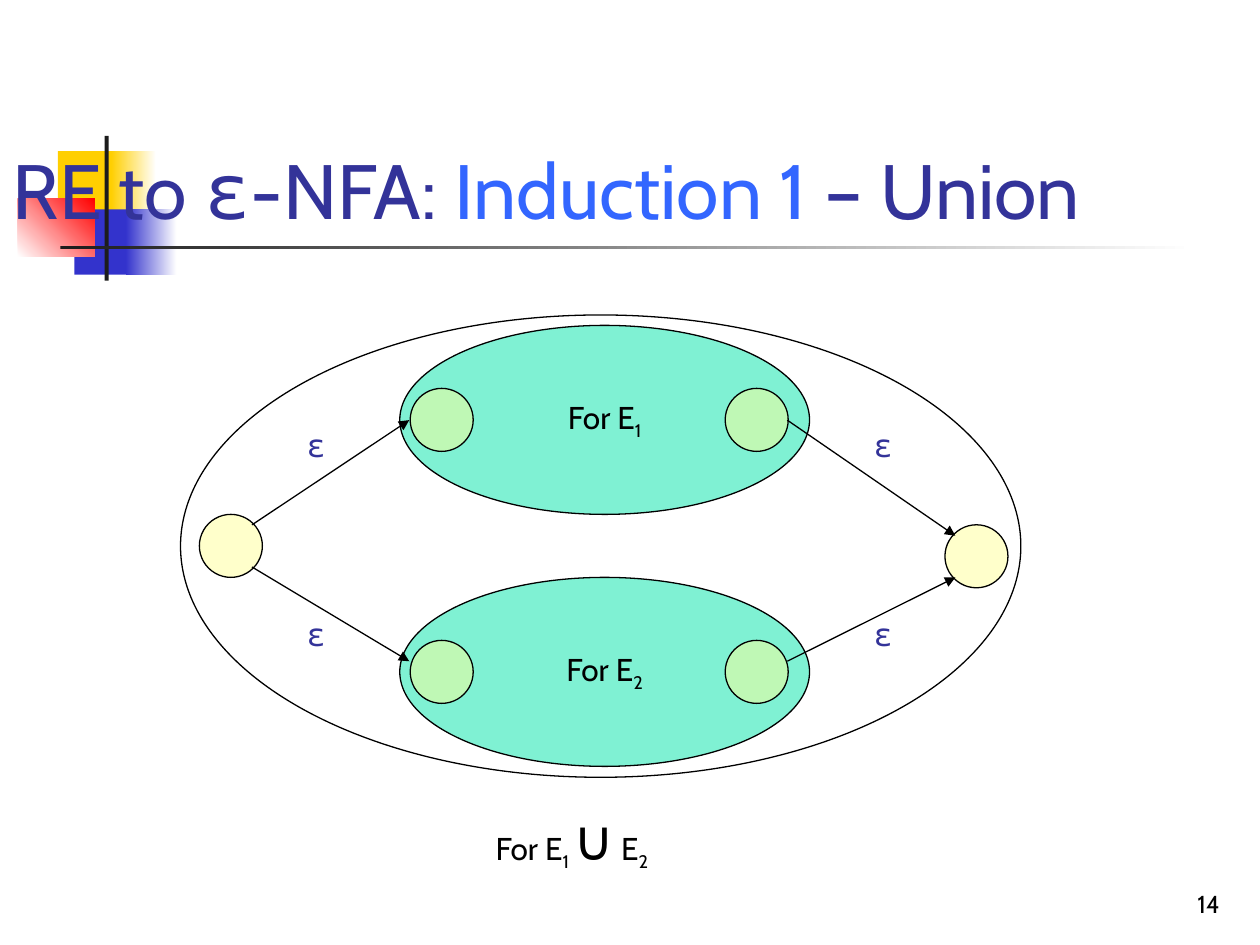
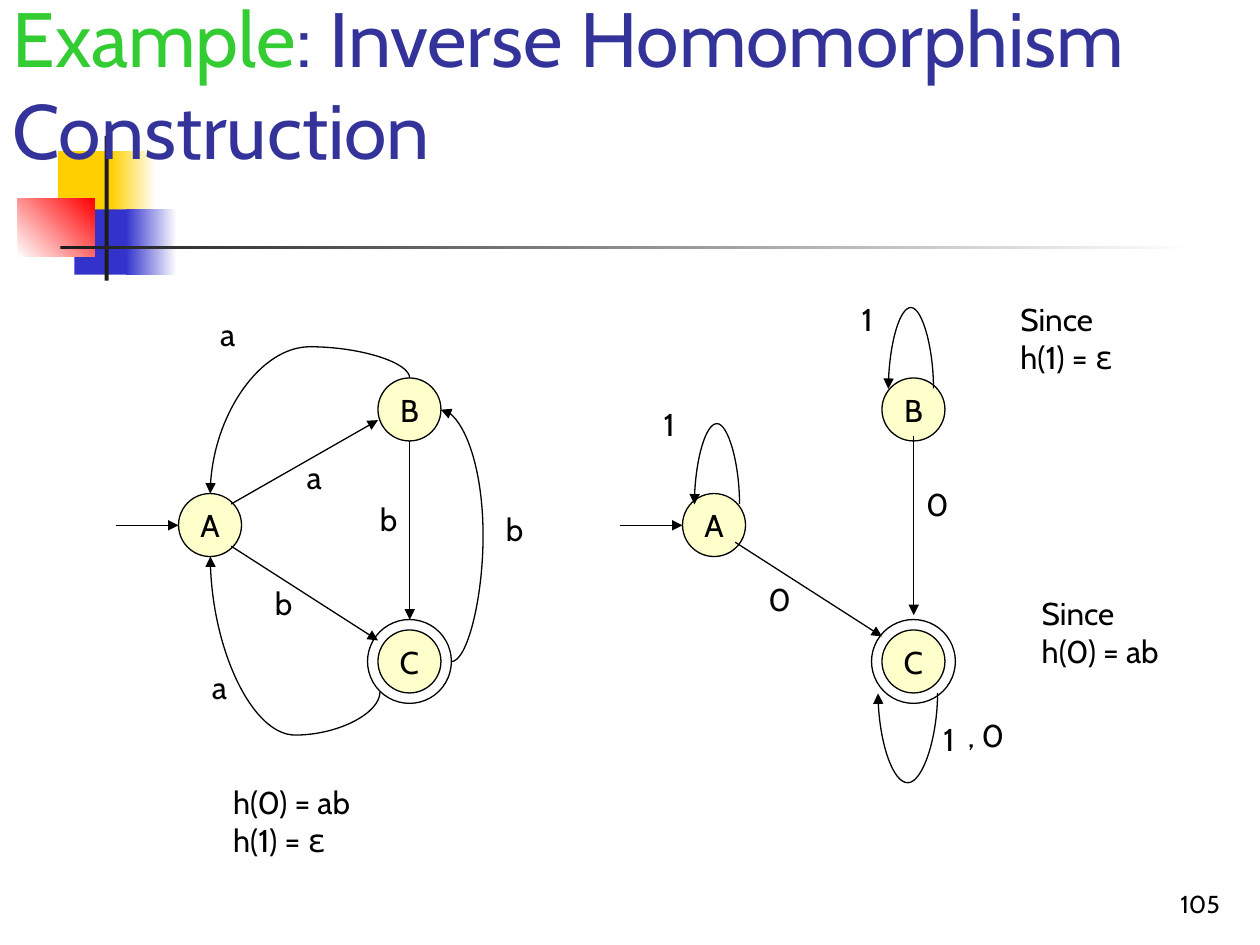
import dataclasses

import pptx
import pptx.dml.color
import pptx.enum.dml
import pptx.enum.shapes
import pptx.enum.text
import pptx.oxml.ns
import pptx.util
from lxml import etree

Cm = pptx.util.Cm
RGBColor = pptx.dml.color.RGBColor
SHAPE = pptx.enum.shapes.MSO_SHAPE
CONNECTOR = pptx.enum.shapes.MSO_CONNECTOR
ANCHOR = pptx.enum.text.MSO_ANCHOR
ALIGN = pptx.enum.text.PP_ALIGN
AUTO_SIZE = pptx.enum.text.MSO_AUTO_SIZE
qn = pptx.oxml.ns.qn

BLACK = RGBColor(0x00, 0x00, 0x00)
WHITE = RGBColor(0xFF, 0xFF, 0xFF)
NAVY = RGBColor(0x33, 0x33, 0x99)
SKY = RGBColor(0x33, 0x66, 0xFF)
GREEN = RGBColor(0x33, 0xCC, 0x33)
GOLD = RGBColor(0xFF, 0xCF, 0x01)
BLUE = RGBColor(0x33, 0x33, 0xCC)
RED = RGBColor(0xFF, 0x00, 0x00)
CHARCOAL = RGBColor(0x1C, 0x1C, 0x1C)
STATE_YELLOW = RGBColor(0xFF, 0xFF, 0x99)
MACHINE_TEAL = RGBColor(0x00, 0xE4, 0xA8)

TEXT_FONT = "Cabin"
GREEK_FONT = "DejaVu Sans Mono"
STATE_SIZE = 1.27
FINAL_RING_SIZE = 1.69
LABEL_SIZE = (0.97, 1.27)


@dataclasses.dataclass
class Run:
    text: str
    size: int = 18
    color: RGBColor = BLACK
    font: str = TEXT_FONT
    subscript: bool = False


def epsilon(size=18, color=BLACK):
    return Run("ε", size, color, GREEK_FONT)


def write(frame, lines, align=ALIGN.LEFT):
    """Fill a text frame with lines, each a list of runs."""
    for number, runs in enumerate(lines):
        paragraph = frame.add_paragraph() if number else frame.paragraphs[0]
        paragraph.alignment = align
        for part in runs:
            run = paragraph.add_run()
            run.text = part.text
            run.font.size = pptx.util.Pt(part.size)
            run.font.name = part.font
            run.font.color.rgb = part.color
            if part.subscript:
                run._r.get_or_add_rPr().set("baseline", "-25000")


def add_text(slide, left, top, size, lines):
    box = slide.shapes.add_textbox(Cm(left), Cm(top), *map(Cm, size))
    box.text_frame.word_wrap = False
    box.text_frame.auto_size = AUTO_SIZE.SHAPE_TO_FIT_TEXT
    write(box.text_frame, lines)


def add_ellipse(slide, left, top, width, height, color=None, runs=()):
    """Outlined ellipse; a given colour fills it half transparent."""
    ellipse = slide.shapes.add_shape(
        SHAPE.OVAL, Cm(left), Cm(top), Cm(width), Cm(height))
    ellipse.shadow.inherit = False
    ellipse.line.color.rgb = BLACK
    ellipse.line.width = pptx.util.Pt(0.75)
    if color is None:
        ellipse.fill.background()
    else:
        ellipse.fill.solid()
        ellipse.fill.fore_color.rgb = color
        tint = next(ellipse.element.spPr.iter(qn("a:srgbClr")))
        etree.SubElement(tint, qn("a:alpha"), val="50000")
    if runs:
        ellipse.text_frame.word_wrap = False
        ellipse.text_frame.vertical_anchor = ANCHOR.MIDDLE
        write(ellipse.text_frame, [runs], ALIGN.CENTER)


def add_state(slide, left, top, name=""):
    add_ellipse(slide, left, top, STATE_SIZE, STATE_SIZE, STATE_YELLOW,
                [Run(name)] if name else ())


def add_arrow(slide, start, end, kind=CONNECTOR.STRAIGHT):
    arrow = slide.shapes.add_connector(kind, *map(Cm, start + end))
    arrow.line.color.rgb = BLACK
    arrow.line.width = pptx.util.Pt(0.75)
    etree.SubElement(arrow.line._get_or_add_ln(), qn("a:tailEnd"), type="triangle")
    etree.SubElement(arrow.element.spPr, qn("a:effectLst"))
    return arrow


def add_curve(slide, start, end, reach, vertical=True):
    """Curved arrow that leaves along one axis and bulges out to reach on it."""
    axis = 1 if vertical else 0
    bend = (reach - start[axis]) / (end[axis] - start[axis])
    turn = 0
    if vertical:
        turn = 90 if bend > 0 else 270
        sign = 1 if turn == 90 else -1
        middle = [(a + b) / 2 for a, b in zip(start, end)]
        half = (sign * (end[1] - start[1]) / 2, -sign * (end[0] - start[0]) / 2)
        start = tuple(m - h for m, h in zip(middle, half))
        end = tuple(m + h for m, h in zip(middle, half))
    curve = add_arrow(slide, start, end, CONNECTOR.CURVE)
    curve.rotation = turn
    adjustments = next(curve.element.spPr.iter(qn("a:prstGeom"))).get_or_add_avLst()
    etree.SubElement(adjustments, qn("a:gd"), name="adj1",
                     fmla=f"val {round(bend * 100000)}")


def draw_band(slide):
    """Coloured squares and crossing rules beside the title."""
    for left, top, width, height, colors, angle in (
            (1.17, 3.05, 1.22, 1.32, [GOLD], 0),
            (2.24, 3.05, 0.91, 1.32, [GOLD, WHITE], 0),
            (1.5, 4.22, 1.17, 1.32, [BLUE], 0),
            (2.54, 4.22, 1.02, 1.32, [BLUE, WHITE], 0),
            (0.36, 4.01, 1.55, 1.17, [WHITE, RED], 45),
            (2.11, 2.74, 0.08, 2.92, [CHARCOAL], 0),
            (1.22, 4.95, 22.86, 0.08, [CHARCOAL, WHITE], 0)):
        block = slide.shapes.add_shape(
            SHAPE.RECTANGLE, Cm(left), Cm(top), Cm(width), Cm(height))
        block.shadow.inherit = False
        block.line.fill.background()
        if len(colors) == 1:
            block.fill.solid()
            block.fill.fore_color.rgb = colors[0]
        else:
            block.fill.gradient()
            block.fill.gradient_angle = angle
            for stop, color in zip(block.fill.gradient_stops, colors):
                stop.color.rgb = color


def new_slide(deck, title_runs, title_top, title_height, page):
    slide = deck.slides.add_slide(deck.slide_layouts.get_by_name("Title Only"))
    draw_band(slide)

    title = slide.shapes.title
    title.left, title.top = Cm(0), Cm(title_top)
    title.width, title.height = deck.slide_width, Cm(title_height)
    title.text_frame.auto_size = AUTO_SIZE.NONE
    title.text_frame.word_wrap = True
    title.text_frame.vertical_anchor = ANCHOR.BOTTOM
    write(title.text_frame, [title_runs])
    slide.shapes.element.append(title.element)  # in front of the band

    number = slide.shapes.add_textbox(Cm(19.55), Cm(17.36), Cm(5.29), Cm(1.27))
    number.text_frame.word_wrap = True
    number.text_frame.vertical_anchor = ANCHOR.BOTTOM
    write(number.text_frame, [[Run(page, 14)]], ALIGN.RIGHT)
    return slide


def draw_submachine(slide, left, top, index):
    add_ellipse(slide, left, top, 8.26, 3.81, MACHINE_TEAL,
                [Run("For E"), Run(index, subscript=True)])
    for state_left in (0.21, 6.56):
        add_state(slide, left + state_left, top + 1.27)


def draw_union(slide, left, top):
    add_ellipse(slide, left, top, 16.94, 9.32)
    for index, machine_top in (("1", 0.21), ("2", 5.29)):
        draw_submachine(slide, left + 4.42, top + machine_top, index)
    for x, y in ((0.38, 4.02), (15.41, 4.23)):
        add_state(slide, left + x, top + y)
    for x1, y1, x2, y2 in ((1.44, 4.23, 4.61, 2.12), (1.44, 5.08, 4.61, 6.98),
                           (12.23, 2.12, 15.62, 4.45), (12.23, 6.98, 15.62, 5.29)):
        add_arrow(slide, (left + x1, top + y1), (left + x2, top + y2))
    for x in (2.29, 13.72):
        for y in (2.12, 5.93):
            add_text(slide, left + x, top + y, LABEL_SIZE, [[epsilon(color=NAVY)]])
    add_text(slide, left + 6.1, top + 9.74, (4.95, 1.6),
             [[Run("For E"), Run("1 ", subscript=True), Run("∪", 32),
               Run(" E"), Run("2", subscript=True)]])


def draw_automaton(slide, left, top, arrows, curves, labels):
    """States A, B and final C, with the given transitions and labels."""
    for name, x, y in (("A", 1.27, 4.02), ("B", 5.29, 1.69), ("C", 5.29, 6.77)):
        add_state(slide, left + x, top + y, name)
    add_ellipse(slide, left + 5.08, top + 6.56, FINAL_RING_SIZE, FINAL_RING_SIZE)
    for x1, y1, x2, y2 in [(0, 4.66, 1.27, 4.66)] + arrows:
        add_arrow(slide, (left + x1, top + y1), (left + x2, top + y2))
    for x1, y1, x2, y2, reach, vertical in curves:
        add_curve(slide, (left + x1, top + y1), (left + x2, top + y2),
                  reach + (top if vertical else left), vertical)
    for text, x, y in labels:
        add_text(slide, left + x, top + y, LABEL_SIZE, [[Run(text)]])


def draw_given_automaton(slide, left, top):
    draw_automaton(
        slide, left, top,
        arrows=[(2.33, 4.23, 5.29, 2.54), (2.33, 5.08, 5.29, 6.98),
                (5.93, 2.96, 5.93, 6.56)],
        curves=[(6.77, 7.41, 6.56, 2.33, 7.41, False),
                (5.93, 1.69, 1.91, 4.02, 1.06, True),
                (5.33, 8.02, 1.91, 5.29, 8.89, True)],
        labels=[("a", 1.86, 0.3), ("a", 3.6, 3.18), ("a", 1.69, 7.41),
                ("b", 5.08, 4.02), ("b", 7.62, 4.23), ("b", 2.96, 5.72)])
    add_text(slide, left + 2.12, top + 9.74, (4.17, 2.29),
             [[Run("h(0) = ab")], [Run("h(1) = "), epsilon()]])


def draw_inverse_automaton(slide, left, top):
    draw_automaton(
        slide, left, top,
        arrows=[(2.33, 5, 5.29, 6.9), (5.93, 2.86, 5.93, 6.47)],
        curves=[(2.42, 4.23, 1.51, 4.24, 2.61, True),
                (6.33, 1.9, 5.42, 1.91, 0.27, True),
                (6.41, 8.04, 5.21, 8.05, 9.85, True)],
        labels=[("1", 0.64, 2.12), ("1", 6.28, 8.47), ("1", 4.63, 0),
                ("0", 2.75, 5.63), ("0", 5.93, 3.73)])
    add_text(slide, left + 6.77, top + 8.37, (1.5, 1.27), [[Run(", 0")]])
    add_text(slide, left + 7.83, top, (3.68, 2.29),
             [[Run("Since")], [Run("h(1) = "), epsilon()]])
    add_text(slide, left + 8.26, top + 5.93, (4.17, 2.29),
             [[Run("Since")], [Run("h(0) = ab")]])


def main():
    deck = pptx.Presentation()
    deck.slide_width, deck.slide_height = Cm(25.4), Cm(19.05)

    union = new_slide(
        deck, [Run("RE to ", 44, NAVY), epsilon(44, NAVY), Run("-NFA: ", 44, NAVY),
               Run("Induction 1", 44, SKY), Run(" – Union", 44, NAVY)],
        1.69, 3.18, "14")
    draw_union(union, 3.64, 6.35)

    example = new_slide(
        deck, [Run("Example", 44, GREEN),
               Run(": Inverse Homomorphism Construction", 44, NAVY)],
        2.12, 1.54, "105")
    draw_given_automaton(example, 2.33, 5.93)
    draw_inverse_automaton(example, 12.49, 5.93)

    deck.save("out.pptx")


if __name__ == "__main__":
    main()
